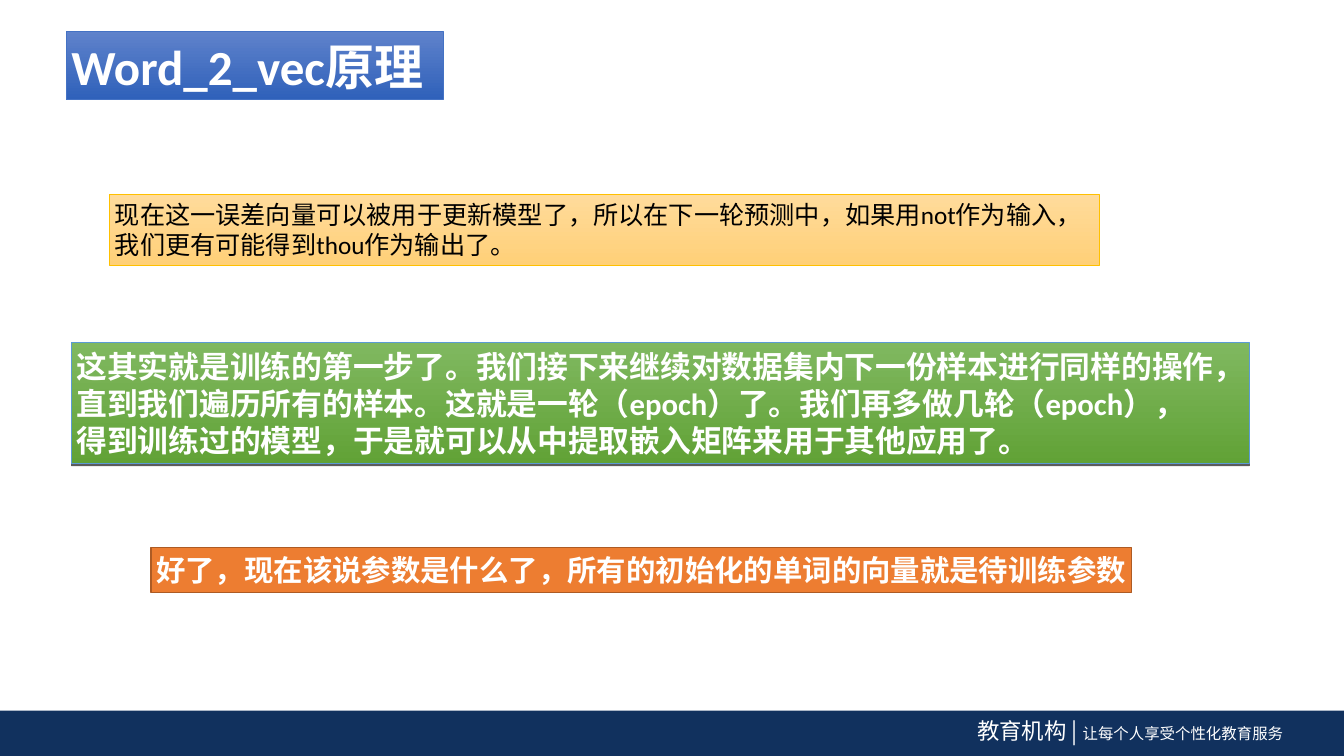
from dataclasses import dataclass
from typing import Optional

from lxml.etree import SubElement
from pptx import Presentation
from pptx.dml.color import RGBColor as RGB
from pptx.enum.shapes import MSO_SHAPE as SHAPE
from pptx.enum.text import MSO_ANCHOR as ANCHOR, MSO_AUTO_SIZE as AUTO, PP_ALIGN as ALIGN
from pptx.oxml.ns import qn
from pptx.util import Pt

COLORS = {
    "navy": "11315E", "white": "FFFFFF", "black": "000000",
    "blue_top": "5F82CB", "blue_end": "2F61BA", "blue_line": "4472C4",
    "gold_top": "FFDB9B", "gold_end": "FFD078", "gold_line": "FFC000",
    "green_top": "80B860", "green_end": "61A236", "sky_line": "5B9BD5",
    "orange": "ED7D31", "orange_line": "AD5B24",
}
LATIN, CJK = "Calibri", "Noto Sans CJK JP"


@dataclass
class Run:
    text: str
    size: float
    color: str = "white"
    bold: bool = False
    font: str = LATIN


@dataclass
class Box:
    at: tuple[float, float, float, float]
    fill: tuple[str, ...] = ()
    line: Optional[str] = None
    width: float = 0.5
    paragraphs: tuple[tuple[Run, ...], ...] = ()
    shadow: bool = False


def lines(size: float, *texts: str, color: str = "white",
          bold: bool = True) -> tuple[tuple[Run, ...], ...]:
    return tuple((Run(text, size, color, bold),) for text in texts)


def rgb(name: str) -> RGB:
    return RGB.from_string(COLORS[name])


def add_shadow(s) -> None:
    effects = s._element.spPr.find(qn("a:effectLst"))
    outer = SubElement(effects, qn("a:outerShdw"), blurRad="0",
                       dist=str(Pt(1.5)), dir="5400000", rotWithShape="0")
    color = SubElement(outer, qn("a:srgbClr"), val=COLORS["black"])
    SubElement(color, qn("a:alpha"), val="63000")


def paint(s, box: Box) -> None:
    if len(box.fill) == 2:
        s.fill.gradient()
        s.fill.gradient_angle = 270
        for stop, name in zip(s.fill.gradient_stops, box.fill):
            stop.color.rgb = rgb(name)
    else:
        s.fill.solid()
        s.fill.fore_color.rgb = rgb(box.fill[0])
    if box.line:
        s.line.color.rgb = rgb(box.line)
        s.line.width = Pt(box.width)
    else:
        s.line.fill.background()
    s.shadow.inherit = False
    if box.shadow:
        add_shadow(s)


def write(tf, paragraphs: tuple[tuple[Run, ...], ...]) -> None:
    frame = {"word_wrap": False, "auto_size": AUTO.SHAPE_TO_FIT_TEXT,
             "vertical_anchor": ANCHOR.TOP}
    frame |= {f"margin_{side}": Pt(3.6) for side in ("left", "top", "right", "bottom")}
    for name, value in frame.items():
        setattr(tf, name, value)
    for i, runs in enumerate(paragraphs):
        p = tf.paragraphs[0] if i == 0 else tf.add_paragraph()
        p.alignment = ALIGN.LEFT
        for run in runs:
            r = p.add_run()
            r.text = run.text
            style = {"name": run.font, "size": Pt(run.size), "bold": run.bold}
            for name, value in style.items():
                setattr(r.font, name, value)
            r.font.color.rgb = rgb(run.color)
            SubElement(r.font._element, qn("a:ea"), typeface=CJK)


def draw(slide, box: Box) -> None:
    at = [Pt(v) for v in box.at]
    if box.fill:
        s = slide.shapes.add_shape(SHAPE.RECTANGLE, *at)
        paint(s, box)
    else:
        s = slide.shapes.add_textbox(*at)
    if box.paragraphs:
        write(s.text_frame, box.paragraphs)


BOXES = [
    # Footer
    Box((0, 507.6, 960.5, 32.4), ("navy",)),
    Box((694.8, 509, 239, 26.6), paragraphs=((
        Run("教育机构 | ", 16, font=CJK),
        Run("让每个人享受个性化教育服务", 11, font=CJK)),)),
    # Title
    Box((47.5, 22.3, 269.3, 49), ("blue_top", "blue_end"), "blue_line",
        paragraphs=lines(35, "Word_2_vec原理")),
    # Model update
    Box((78.5, 139, 707, 50.4), ("gold_top", "gold_end"), "gold_line",
        paragraphs=lines(
            18,
            "现在这一误差向量可以被用于更新模型了，所以在下一轮预测中，如果用not作为输入，",
            "我们更有可能得到thou作为输出了。",
            color="black", bold=False)),
    # Training rounds
    Box((51.1, 244.8, 841.7, 86.4), ("green_top", "green_end"), "sky_line",
        paragraphs=lines(
            22,
            "这其实就是训练的第一步了。我们接下来继续对数据集内下一份样本进行同样的操作，",
            "直到我们遍历所有的样本。这就是一轮（epoch）了。我们再多做几轮（epoch），",
            "得到训练过的模型，于是就可以从中提取嵌入矩阵来用于其他应用了。"),
        shadow=True),
    # Parameters
    Box((108, 391, 700.6, 32.4), ("orange",), "orange_line", 1,
        lines(21, "好了，现在该说参数是什么了，所有的初始化的单词的向量就是待训练参数")),
]


def main() -> None:
    prs = Presentation()
    prs.slide_width, prs.slide_height = Pt(960.5), Pt(540)
    slide = prs.slides.add_slide(prs.slide_layouts[6])
    for box in BOXES:
        draw(slide, box)
    prs.save("out.pptx")


if __name__ == "__main__":
    main()
